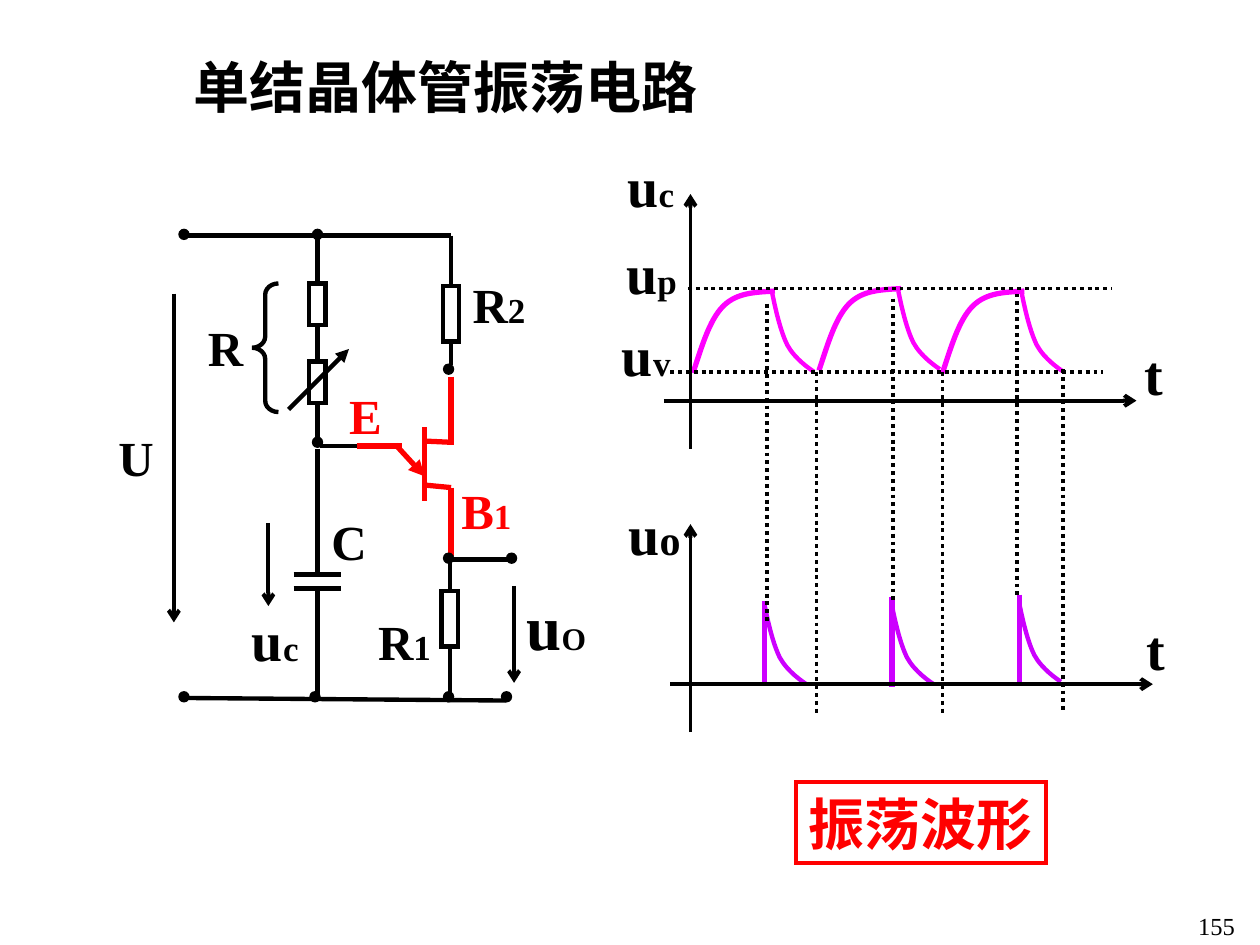
from pptx import Presentation
from pptx.dml.color import RGBColor
from pptx.enum.dml import MSO_LINE
from pptx.enum.shapes import MSO_CONNECTOR, MSO_SHAPE
from pptx.enum.text import MSO_ANCHOR, MSO_AUTO_SIZE, PP_ALIGN
from pptx.oxml.ns import qn
from pptx.util import Inches, Pt
from lxml import etree

BLACK = RGBColor(0x00, 0x00, 0x00)
RED = RGBColor(0xFF, 0x00, 0x00)
MAGENTA = RGBColor(0xFF, 0x00, 0xFF)
VIOLET = RGBColor(0xCC, 0x00, 0xFF)
FONT = "Times New Roman"
STRAIGHT = MSO_CONNECTOR.STRAIGHT
DOTTED = MSO_LINE.ROUND_DOT
RECT, OVAL, BRACE = MSO_SHAPE.RECTANGLE, MSO_SHAPE.OVAL, MSO_SHAPE.LEFT_BRACE
LEFT, CENTER = PP_ALIGN.LEFT, PP_ALIGN.CENTER
MIDDLE, FIT = MSO_ANCHOR.MIDDLE, MSO_AUTO_SIZE.SHAPE_TO_FIT_TEXT
TOP, BOTTOM = 0, 2

# Cubic curves, as offsets from their first point
CHARGE = [(0, 0), (0.07, -0.21), (0.13, -0.42), (0.24, -0.53),
          (0.35, -0.64), (0.5, -0.64), (0.65, -0.65)]
DISCHARGE = [(0, 0), (0.03, 0.15), (0.07, 0.31), (0.12, 0.41),
             (0.18, 0.52), (0.3, 0.6), (0.33, 0.62)]


def write(sp, text, sub="", size=28, sub_size=20, color=BLACK, bold=True,
          align=CENTER, wrap=False):
    """Write text, with an optional smaller index, into a shape."""
    tf = sp.text_frame
    tf.word_wrap = wrap
    tf.vertical_anchor = MIDDLE
    if not wrap:
        tf.auto_size = FIT
    p = tf.paragraphs[0]
    p.alignment = align
    for part, points in ((text, size), (sub, sub_size)):
        if part:
            r = p.add_run()
            r.text = part
            r.font.name, r.font.size, r.font.bold = FONT, Pt(points), bold
            r.font.color.rgb = color


def label(s, box, x, y, w, h, text, **fmt):
    sp = s.shapes.add_textbox(Inches(box[0] + x), Inches(box[1] + y),
                              Inches(w), Inches(h))
    write(sp, text, **fmt)


def line(s, box, x1, y1, x2, y2, color=BLACK, width=2.5, arrow=None,
         dash=None, start=None, end=None):
    """Draw a line; start and end are (shape, side) pairs to join."""
    c = s.shapes.add_connector(STRAIGHT, Inches(box[0] + x1), Inches(box[1] + y1),
                               Inches(box[0] + x2), Inches(box[1] + y2))
    c.line.color.rgb = color
    c.line.width = Pt(width)
    if dash:
        c.line.dash_style = dash
    if arrow:
        ln = c.element.spPr.find(qn("a:ln"))
        etree.SubElement(ln, qn("a:tailEnd"), type=arrow)
    etree.SubElement(c.element.spPr, qn("a:effectLst"))
    if start:
        c.begin_connect(*start)
    if end:
        c.end_connect(*end)


def outline(sp, color, width):
    sp.shadow.inherit = False
    sp.fill.background()
    sp.line.color.rgb = color
    sp.line.width = Pt(width)
    ln = sp.element.spPr.find(qn("a:ln"))
    etree.SubElement(ln, qn("a:miter"), lim="800000")


def shape(s, box, kind, x, y, w, h, color=BLACK, width=2.5):
    sp = s.shapes.add_shape(kind, Inches(box[0] + x), Inches(box[1] + y),
                            Inches(w), Inches(h))
    outline(sp, color, width)
    return sp


def curve(s, box, x, y, offsets, color, width):
    """Draw joined cubic curves; every three points after the first make one."""
    pts = [(Inches(box[0] + x + dx), Inches(box[1] + y + dy)) for dx, dy in offsets]
    fb = s.shapes.build_freeform(*pts[0])
    fb.add_line_segments(pts[1:], close=False)
    sp = fb.convert_to_shape()
    segments = list(sp.element.iter(qn("a:lnTo")))
    for i in range(0, len(segments), 3):
        bezier = etree.SubElement(segments[i].getparent(), qn("a:cubicBezTo"))
        for segment in segments[i:i + 3]:
            bezier.append(segment[0])
            segment.getparent().remove(segment)
    outline(sp, color, width)


def circuit(s, box):
    # Unijunction transistor
    for ends in ((2.57, 1.59, 2.57, 2.18), (2.03, 1.74, 2.39, 1.74),
                 (2.56, 1.7, 2.77, 1.71), (2.57, 2.05, 2.78, 2.07),
                 (2.78, 1.19, 2.78, 1.73), (2.78, 2.07, 2.78, 2.61)):
        line(s, box, *ends, color=RED, width=3)
    line(s, box, 2.34, 1.73, 2.57, 1.98, color=RED, width=3, arrow="triangle")

    # Resistors and the wires joined to them
    r, r_var, r2, r1 = (shape(s, box, RECT, cx - 0.065, top, 0.13, h)
                        for cx, top, h in ((1.72, 0.45, 0.33), (1.72, 1.07, 0.33),
                                           (2.78, 0.47, 0.44), (2.77, 2.89, 0.44)))
    line(s, box, 1.72, 0.07, 1.72, 0.45, end=(r, TOP))
    line(s, box, 1.72, 0.78, 1.72, 1.07, start=(r, BOTTOM), end=(r_var, TOP))
    line(s, box, 1.72, 1.4, 1.72, 1.72, start=(r_var, BOTTOM))
    line(s, box, 2.78, 0.07, 2.78, 0.47, end=(r2, TOP))
    line(s, box, 2.78, 0.91, 2.78, 1.1, start=(r2, BOTTOM))
    line(s, box, 2.77, 2.66, 2.77, 2.89, end=(r1, TOP))
    line(s, box, 2.77, 3.33, 2.77, 3.76, start=(r1, BOTTOM))
    line(s, box, 1.49, 1.45, 1.97, 0.97, arrow="triangle")

    # Rails, capacitor and remaining wires
    for ends in ((0.64, 0.07, 2.78, 0.07), (0.7, 3.74, 3.22, 3.76),
                 (2.03, 1.74, 1.74, 1.74), (1.72, 1.76, 1.72, 2.76),
                 (1.53, 2.76, 1.91, 2.76), (1.53, 2.87, 1.91, 2.87),
                 (1.72, 2.87, 1.72, 3.76), (2.76, 2.64, 3.26, 2.64)):
        line(s, box, *ends)

    # Nodes and terminals
    for cx, cy in ((0.66, 0.06), (1.72, 0.06), (2.76, 1.13), (1.72, 1.71),
                   (2.76, 2.63), (3.26, 2.63), (0.66, 3.73), (1.7, 3.73),
                   (2.76, 3.73), (3.22, 3.73)):
        dot = shape(s, box, OVAL, cx - 0.04, cy - 0.04, 0.08, 0.08, width=0.75)
        dot.fill.solid()
        dot.fill.fore_color.rgb = BLACK

    # Brace around R and voltage arrows
    brace = shape(s, box, BRACE, 1.2, 0.45, 0.21, 1.02)
    brace.adjustments[0] = 0.42
    for x, top, bottom in ((0.58, 0.53, 3.14), (1.33, 2.35, 3.01), (3.28, 2.85, 3.62)):
        line(s, box, x, top, x, bottom, width=2.25, arrow="arrow")

    # Labels
    label(s, box, 0.75, 0.67, 0.48, 0.57, "R")
    label(s, box, 2.84, 0.33, 0.64, 0.57, "R", sub="2")
    label(s, box, 2.09, 3, 0.64, 0.57, "R", sub="1")
    label(s, box, 1.73, 2.21, 0.48, 0.57, "C")
    label(s, box, 0.04, 1.54, 0.48, 0.57, "U")
    label(s, box, 1.09, 2.95, 0.59, 0.64, "u", sub="c", size=32)
    label(s, box, 3.27, 2.81, 0.69, 0.7, "u", sub="O", size=36, sub_size=18)
    label(s, box, 1.87, 1.21, 0.46, 0.57, "E", color=RED)
    label(s, box, 2.75, 1.96, 0.62, 0.57, "B", sub="1", color=RED)


def capacitor_plot(s, box):
    # Charge and discharge cycles
    for x, y in ((0.7, 1.86), (1.7, 1.84), (2.68, 1.86)):
        curve(s, box, x, y, CHARGE, MAGENTA, 3)
        curve(s, box, x + 0.63, y - 0.63, DISCHARGE, MAGENTA, 2.5)
    # Axes and threshold levels
    line(s, box, 0.68, 2.46, 0.68, 0.44, width=2.25, arrow="arrow")
    line(s, box, 0.47, 2.08, 4.22, 2.08, width=2.25, arrow="arrow")
    line(s, box, 0.66, 1.19, 4.02, 1.19, width=2.25, dash=DOTTED)
    line(s, box, 0.52, 1.85, 3.95, 1.85, width=2.25, dash=DOTTED)
    # Labels
    for x, y, w, sub in ((0.07, 0.05, 0.59, "c"), (0.06, 0.74, 0.62, "p"),
                         (0.03, 1.39, 0.6, "v")):
        label(s, box, x, y, w, 0.64, "u", sub=sub, size=32)
    label(s, box, 4.18, 1.54, 0.35, 0.64, "t", size=32)


def output_plot(s, box):
    # Pulses
    for x, y, top, bottom in ((1.27, 0.91, 0.87, 1.53), (2.28, 0.91, 0.84, 1.55),
                              (3.29, 0.89, 0.82, 1.53)):
        line(s, box, x, top, x, bottom, color=VIOLET, width=3)
        curve(s, box, x, y, DISCHARGE, VIOLET, 2.5)
    # Axes and labels
    line(s, box, 0.68, 1.91, 0.68, 0.26, width=2.25, arrow="arrow")
    line(s, box, 0.52, 1.53, 4.35, 1.53, width=2.25, arrow="arrow")
    label(s, box, 0.07, 0.01, 0.65, 0.64, "u", sub="o", size=32, sub_size=24)
    label(s, box, 4.2, 0.92, 0.35, 0.64, "t", size=32)


def time_guides(s, box):
    for x, top, bottom in ((1.29, 1.31, 3.85), (1.68, 1.85, 4.56), (2.29, 1.27, 3.69),
                           (2.68, 1.85, 4.56), (3.27, 1.23, 3.64), (3.64, 1.83, 4.54)):
        line(s, box, x, top, x, bottom, width=2.25, dash=DOTTED)


def captions(s, box):
    label(s, box, 1.44, 0.36, 4.24, 0.64, "单结晶体管振荡电路", size=32, align=LEFT)
    frame = shape(s, box, RECT, 6.32, 6.21, 1.98, 0.64, color=RED, width=2.25)
    write(frame, "振荡波形", size=32, color=RED)
    label(s, box, 9.31, 7.18, 0.69, 0.33, "155", size=14, bold=False, wrap=True)


def main():
    prs = Presentation()
    prs.slide_width, prs.slide_height = Inches(10), Inches(7.5)
    s = prs.slides.add_slide(prs.slide_layouts[6])
    circuit(s, (0.8, 1.8))
    capacitor_plot(s, (4.8, 1.1))
    output_plot(s, (4.8, 3.9))
    time_guides(s, (4.8, 1.1))
    captions(s, (0, 0))
    prs.save("out.pptx")


if __name__ == "__main__":
    main()
